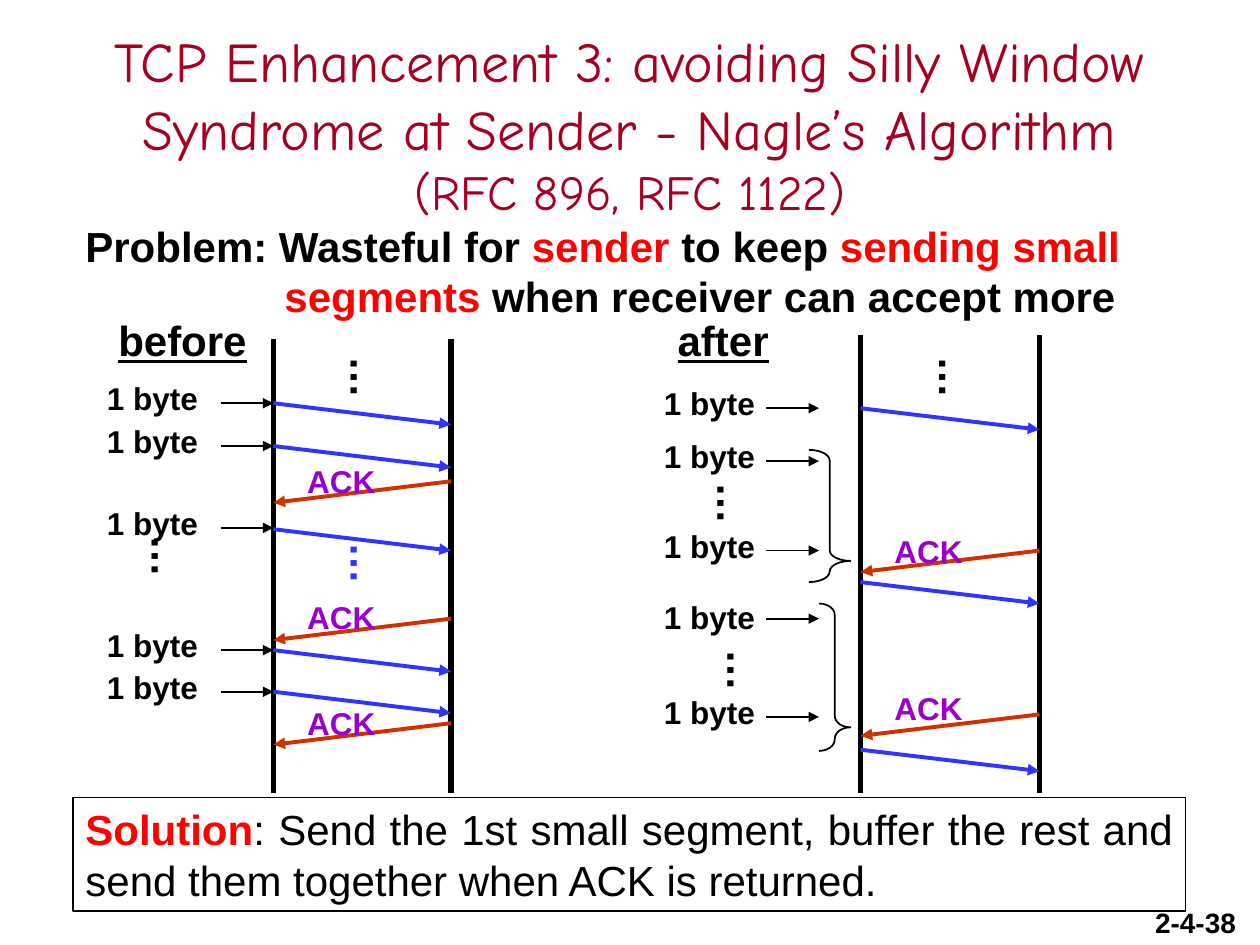
from dataclasses import dataclass

from lxml.etree import SubElement
from pptx import Presentation
from pptx.dml.color import RGBColor
from pptx.enum.shapes import MSO_CONNECTOR as Connector, MSO_SHAPE as Shape
from pptx.enum.text import MSO_ANCHOR as Anchor, MSO_AUTO_SIZE as AutoSize, PP_ALIGN as Align
from pptx.oxml.ns import qn
from pptx.util import Inches, Pt


@dataclass(frozen=True)
class Theme:
    black: str = "000000"
    white: str = "FFFFFF"
    title: str = "A50021"
    accent: str = "FF0000"
    segment: str = "3333FF"
    ack: str = "CC3300"
    ack_label: str = "9900CC"
    body_font: str = "Arial"
    title_font: str = "Comic Neue"
    title_size: int = 32
    reference_size: int = 28
    body_size: int = 24
    label_size: int = 18
    number_size: int = 16
    timeline_width: float = 3
    message_width: float = 2.25
    thin_width: float = 1


@dataclass(frozen=True)
class Diagram:
    heading: str
    heading_left: float
    sender: float
    receiver: float
    top: float
    label_left: float
    arrow_left: float
    writes: tuple
    segments: tuple
    acks: tuple
    dots: tuple


THEME = Theme()
BOTTOM = 6.29
DROP = 0.17
ARROW_LENGTH = 0.42

BEFORE = Diagram(
    "before", 0.84, 2.17, 3.58, 2.69, 0.75, 1.75,
    writes=((2.96, 3.2), (3.3, 3.54), (3.95, 4.19), (4.92, 5.16), (5.25, 5.49)),
    segments=(3.2, 3.54, 4.2, 5.16, 5.49),
    acks=((3.62, 3.82), (4.7, 4.91), (5.54, 5.74)),
    dots=((2.65, 2.75, THEME.black), (2.65, 4.22, THEME.segment), (1.07, 4.17, THEME.black)),
)
AFTER = Diagram(
    "after", 5.28, 6.83, 8.25, 2.66, 5.17, 6.08,
    writes=((3.0, 3.24), (3.42, 3.66), (4.13, 4.37), (4.7, 4.91), (5.45, 5.69)),
    segments=(3.24, 4.62, 5.95),
    acks=((4.17, 4.37), (5.42, 5.67)),
    dots=((7.32, 2.75, THEME.black), (5.56, 3.75, THEME.black), (5.64, 5.07, THEME.black)),
)


def color(value):
    return RGBColor.from_string(value)


def add_run(paragraph, text, *, size=THEME.body_size, fill=THEME.black,
            font=THEME.body_font, bold=False, underline=False):
    run = paragraph.add_run()
    run.text = text
    run.font.name = font
    run.font.size = Pt(size)
    run.font.bold = bold
    run.font.underline = underline
    run.font.color.rgb = color(fill)


def add_text_box(slide, left, top, width, height, *, wrap=False):
    shape = slide.shapes.add_textbox(Inches(left), Inches(top), Inches(width), Inches(height))
    shape.text_frame.word_wrap = wrap
    shape.text_frame.auto_size = AutoSize.SHAPE_TO_FIT_TEXT
    return shape


def add_label(slide, text, left, top, width, height, *, rotation=0, **text_format):
    shape = add_text_box(slide, left, top, width, height)
    shape.rotation = rotation
    add_run(shape.text_frame.paragraphs[0], text, bold=True, **text_format)


def add_line(slide, start, end, *, stroke=THEME.black, width=THEME.thin_width, arrow=True):
    x1, y1, x2, y2 = (Inches(value) for value in (*start, *end))
    connector = slide.shapes.add_connector(Connector.STRAIGHT, x1, y1, x2, y2)
    connector.line.color.rgb = color(stroke)
    connector.line.width = Pt(width)
    if arrow:
        SubElement(connector.line._get_or_add_ln(), qn("a:tailEnd"), type="triangle")
    SubElement(connector._element.spPr, qn("a:effectLst"))


def add_outlined_shape(slide, kind, left, top, width, height):
    shape = slide.shapes.add_shape(kind, Inches(left), Inches(top), Inches(width), Inches(height))
    shape.shadow.inherit = False
    shape.line.color.rgb = color(THEME.black)
    shape.line.width = Pt(THEME.thin_width)
    return shape


def add_brace(slide, left, top, width, height):
    brace = add_outlined_shape(slide, Shape.RIGHT_BRACE, left, top, width, height)
    brace.fill.background()
    brace.adjustments[0] = 0.09 / width
    brace.adjustments[1] = 0.84


def add_title(slide):
    title = slide.shapes.title
    title.left, title.top = Inches(0.5), Inches(0.42)
    title.width, title.height = Inches(9), Inches(1.12)
    frame = title.text_frame
    frame.word_wrap = True
    frame.auto_size = AutoSize.NONE
    frame.vertical_anchor = Anchor.MIDDLE
    paragraph = frame.paragraphs[0]
    paragraph.alignment = Align.CENTER
    style = {"font": THEME.title_font, "fill": THEME.title}
    add_run(paragraph, "TCP Enhancement 3: avoiding Silly Window Syndrome at Sender - Nagle’s Algorithm",
            size=THEME.title_size, **style)
    paragraph.add_line_break()
    add_run(paragraph, "(RFC 896, RFC 1122)", size=THEME.reference_size, **style)


def add_problem(slide):
    frame = add_text_box(slide, 0.58, 1.7, 9, 0.9, wrap=True).text_frame
    first, second = frame.paragraphs[0], frame.add_paragraph()
    second._p.get_or_add_pPr().set("marL", str(Inches(1.58)))
    for paragraph, text, fill in (
        (first, "Problem: Wasteful for ", THEME.black),
        (first, "sender ", THEME.accent),
        (first, "to keep ", THEME.black),
        (first, "sending small", THEME.accent),
        (second, "segments ", THEME.accent),
        (second, "when receiver can accept more", THEME.black),
    ):
        add_run(paragraph, text, fill=fill, bold=True)


def add_solution(slide):
    box = add_outlined_shape(slide, Shape.RECTANGLE, 0.58, 6.33, 8.83, 0.9)
    box.fill.solid()
    box.fill.fore_color.rgb = color(THEME.white)
    box.text_frame.word_wrap = True
    box.text_frame.vertical_anchor = Anchor.TOP
    paragraph = box.text_frame.paragraphs[0]
    paragraph.alignment = Align.JUSTIFY
    add_run(paragraph, "Solution", fill=THEME.accent, bold=True)
    add_run(paragraph, ": Send the 1st small segment, buffer the rest and "
                       "send them together when ACK is returned.")


def add_diagram(slide, diagram):
    sender, receiver = diagram.sender, diagram.receiver
    for x in (sender, receiver):
        add_line(slide, (x, diagram.top), (x, BOTTOM), width=THEME.timeline_width, arrow=False)
    for y in diagram.segments:
        add_line(slide, (sender, y), (receiver, y + DROP),
                 stroke=THEME.segment, width=THEME.message_width)
    for label_top, y in diagram.writes:
        add_label(slide, "1 byte", diagram.label_left, label_top, 0.92, 0.4, size=THEME.label_size)
        add_line(slide, (diagram.arrow_left, y), (diagram.arrow_left + ARROW_LENGTH, y))
    for label_top, y in diagram.acks:
        add_line(slide, (receiver, y), (sender, y + DROP),
                 stroke=THEME.ack, width=THEME.message_width)
        add_label(slide, "ACK", sender + 0.17, label_top, 0.74, 0.4,
                  size=THEME.label_size, fill=THEME.ack_label)
    for left, top, fill in diagram.dots:
        add_label(slide, "…", left, top, 0.53, 0.5, rotation=90, fill=fill)
    heading_width = 1.22 if diagram is BEFORE else 0.92
    add_label(slide, diagram.heading, diagram.heading_left, 2.45, heading_width, 0.5, underline=True)


def main():
    presentation = Presentation()
    presentation.slide_width, presentation.slide_height = Inches(10), Inches(7.5)
    slide = presentation.slides.add_slide(presentation.slide_layouts[5])
    add_title(slide)
    for diagram in (BEFORE, AFTER):
        add_diagram(slide, diagram)
    add_brace(slide, 6.42, 3.57, 0.33, 1.05)
    add_brace(slide, 6.5, 4.79, 0.25, 1.17)
    add_solution(slide)
    add_problem(slide)
    add_label(slide, "2-4-38", 9.07, 7.14, 0.93, 0.36, size=THEME.number_size)
    presentation.save("out.pptx")


if __name__ == "__main__":
    main()
